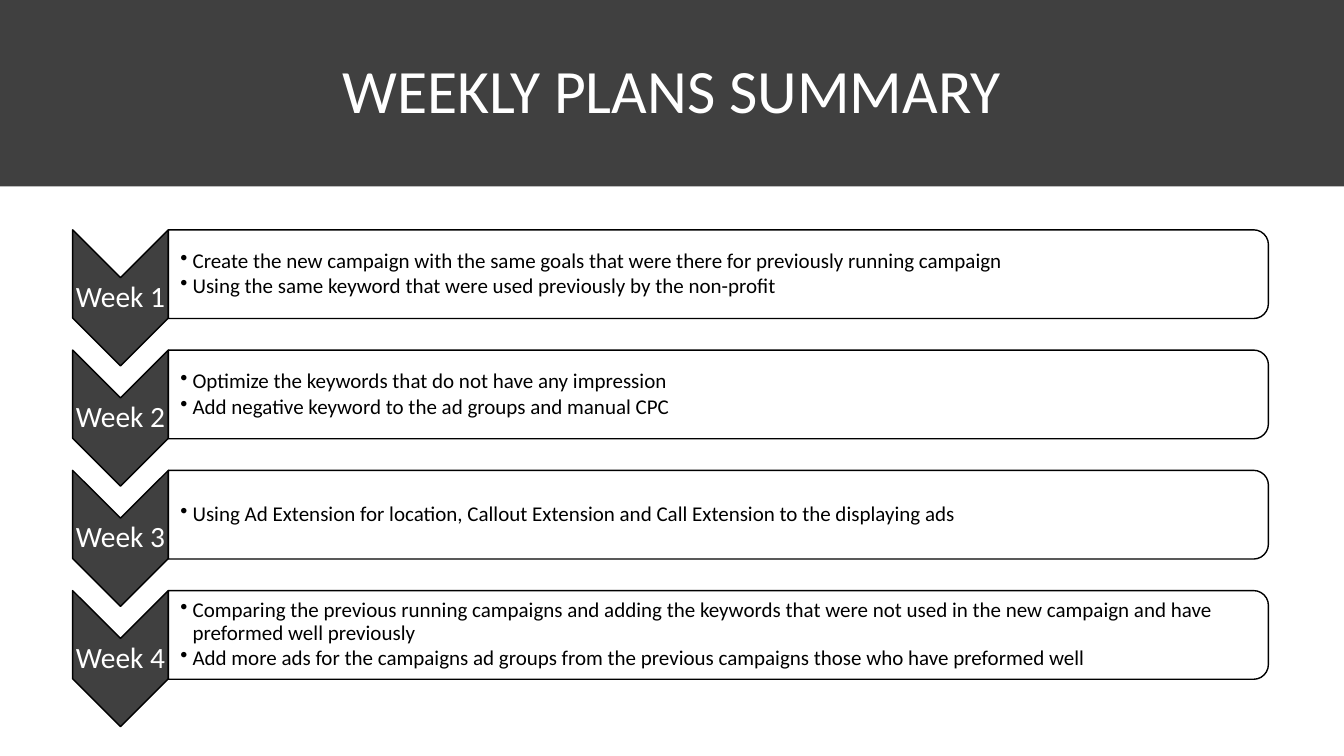
from dataclasses import dataclass

from lxml import etree
from pptx import Presentation
from pptx.dml.color import RGBColor
from pptx.enum.shapes import MSO_SHAPE
from pptx.enum.text import MSO_ANCHOR, PP_ALIGN
from pptx.oxml.ns import qn
from pptx.util import Inches, Pt

CHEVRON, BAR = MSO_SHAPE.CHEVRON, MSO_SHAPE.ROUND_2_SAME_RECTANGLE
MIDDLE, CENTER = MSO_ANCHOR.MIDDLE, PP_ALIGN.CENTER

TITLE = "WEEKLY PLANS SUMMARY"
WEEKS = {
    "Week 1": [
        "Create the new campaign with the same goals that were there for previously running campaign",
        "Using the same keyword that were used previously by the non-profit",
    ],
    "Week 2": [
        "Optimize the keywords that do not have any impression",
        "Add negative keyword to the ad groups and manual CPC",
    ],
    "Week 3": [
        "Using Ad Extension for location, Callout Extension and Call Extension to the displaying ads",
    ],
    "Week 4": [
        "Comparing the previous running campaigns and adding the keywords that were not used "
        "in the new campaign and have preformed well previously",
        "Add more ads for the campaigns ad groups from the previous campaigns "
        "those who have preformed well",
    ],
}


@dataclass(frozen=True)
class Theme:
    font: str = "Calibri"
    dark: RGBColor = RGBColor(0x40, 0x40, 0x40)
    white: RGBColor = RGBColor(0xFF, 0xFF, 0xFF)
    black: RGBColor = RGBColor(0, 0, 0)
    title_size: int = 44
    week_size: int = 21
    task_size: int = 15
    line_width: int = 1


THEME = Theme()
SLIDE_WIDTH, SLIDE_HEIGHT = 13.33, 7.5
TITLE_HEIGHT = 1.85
LEFT, TOP = 0.72, 2.28
ROW_PITCH = 1.193
CHEVRON_WIDTH, CHEVRON_HEIGHT = 0.95, 1.35
BAR_LEFT = LEFT + CHEVRON_WIDTH
BAR_WIDTH, BAR_HEIGHT = 10.91, 0.88
LABEL_HEIGHT = 0.41
TASK_WIDTH, TASK_HEIGHT = 10.87, 0.79
INDENT, INSET = 0.12, 0.01


def format_paragraph(para, size, color):
    para.line_spacing = 0.9
    para.font.name = THEME.font
    para.font.size = Pt(size)
    para.font.color.rgb = color


def add_turned_shape(group, kind, left, top, width, height, fill):
    """Add a shape turned by 90 degrees; the place and size are those seen after the turn."""
    shift = (width - height) / 2
    shape = group.shapes.add_shape(
        kind, Inches(left + shift), Inches(top - shift), Inches(height), Inches(width))
    shape.rotation = 90
    shape.shadow.inherit = False
    shape.fill.solid()
    shape.fill.fore_color.rgb = fill
    shape.line.color.rgb = THEME.black
    shape.line.width = Pt(THEME.line_width)
    return shape


def add_text(group, left, top, width, height, lines, size, color, left_inset=INSET):
    box = group.shapes.add_textbox(Inches(left), Inches(top), Inches(width), Inches(height))
    frame = box.text_frame
    frame.word_wrap = True
    frame.vertical_anchor = MIDDLE
    frame.margin_left = Inches(left_inset)
    frame.margin_top = frame.margin_right = frame.margin_bottom = Inches(INSET)
    frame.text = "\n".join(lines)
    return [(para, size, color) for para in frame.paragraphs]


def add_bullet(para):
    para.level = 1
    para.space_after = Pt(0.15 * THEME.task_size)
    properties = para._p.get_or_add_pPr()
    properties.set("marL", str(Inches(INDENT)))
    properties.set("indent", str(-Inches(INDENT)))
    etree.SubElement(properties, qn("a:buChar")).set("char", "•")


def add_week(group, top, week, tasks):
    add_turned_shape(group, CHEVRON, LEFT, top, CHEVRON_WIDTH, CHEVRON_HEIGHT, THEME.dark)
    label_top = top + (CHEVRON_HEIGHT - LABEL_HEIGHT) / 2
    for para, size, color in add_text(group, LEFT, label_top, CHEVRON_WIDTH, LABEL_HEIGHT,
                                      [week], THEME.week_size, THEME.white):
        para.alignment = CENTER
        format_paragraph(para, size, color)

    bar = add_turned_shape(group, BAR, BAR_LEFT, top, BAR_WIDTH, BAR_HEIGHT, THEME.white)
    fill_color = bar._element.spPr.find(qn("a:solidFill"))[0]
    etree.SubElement(fill_color, qn("a:alpha")).set("val", "90000")
    task_top = top + (BAR_HEIGHT - TASK_HEIGHT) / 2
    for para, size, color in add_text(group, BAR_LEFT, task_top, TASK_WIDTH, TASK_HEIGHT,
                                      tasks, THEME.task_size, THEME.black, INDENT):
        add_bullet(para)
        format_paragraph(para, size, color)


def main():
    deck = Presentation()
    deck.slide_width, deck.slide_height = Inches(SLIDE_WIDTH), Inches(SLIDE_HEIGHT)
    page = deck.slides.add_slide(deck.slide_layouts[5])

    title = page.shapes.title
    title.left = title.top = 0
    title.width, title.height = deck.slide_width, Inches(TITLE_HEIGHT)
    title.fill.solid()
    title.fill.fore_color.rgb = THEME.dark
    title.text_frame.text = TITLE
    title.text_frame.vertical_anchor = MIDDLE
    heading = title.text_frame.paragraphs[0]
    heading.alignment = CENTER
    format_paragraph(heading, THEME.title_size, THEME.white)

    group = page.shapes.add_group_shape()
    for row, (week, tasks) in enumerate(WEEKS.items()):
        add_week(group, TOP + row * ROW_PITCH, week, tasks)
    deck.save("out.pptx")


if __name__ == "__main__":
    main()
